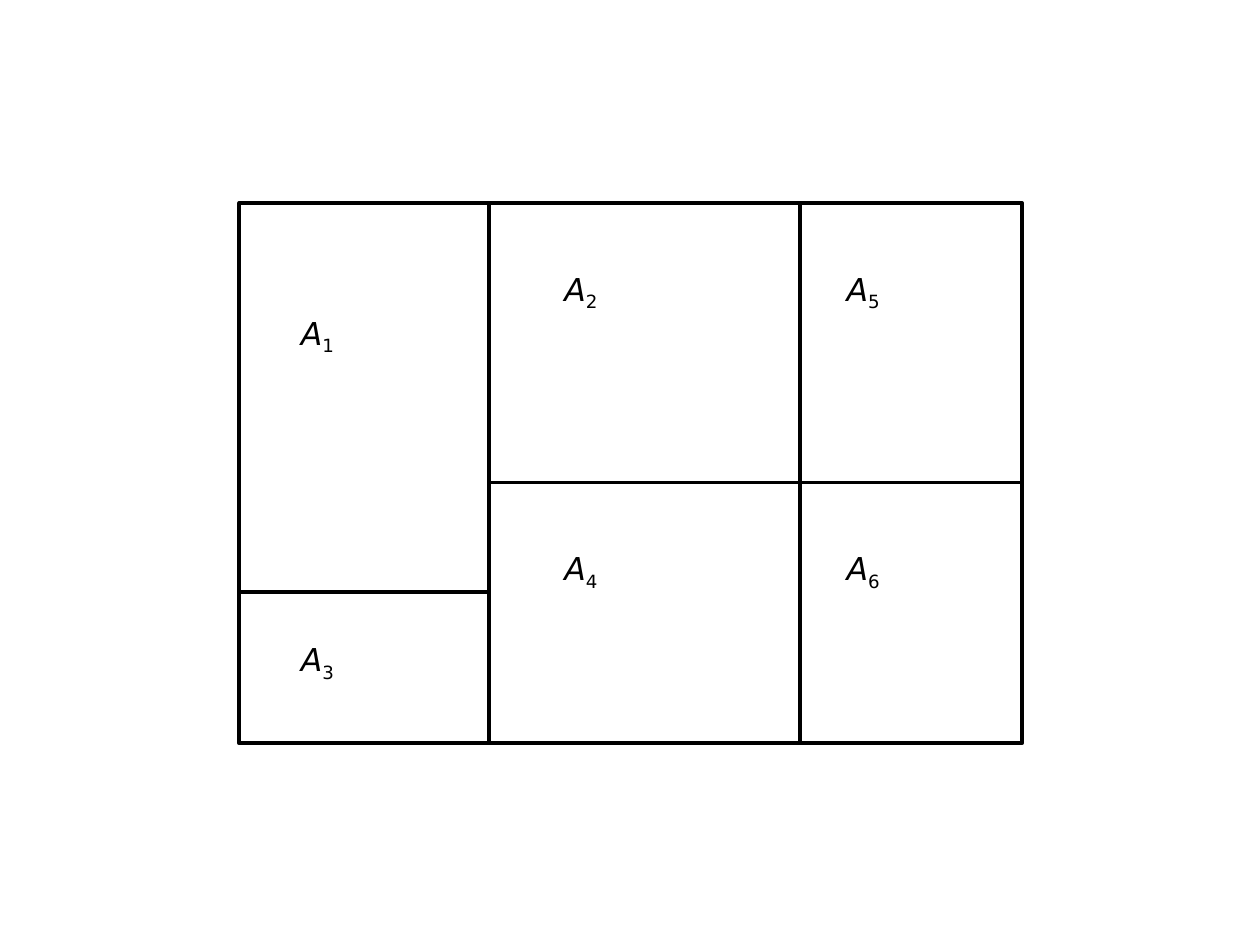
import dataclasses

import pptx
import pptx.dml.color
import pptx.enum.shapes
import pptx.enum.text
import pptx.util

BLACK = pptx.dml.color.RGBColor(0x00, 0x00, 0x00)
Inches = pptx.util.Inches

# Grid lines of the partition, in inches
COLS = (1.9, 3.88, 6.35, 8.11)
ROWS = (1.61, 3.83, 4.7, 5.9)
LABEL_INDENTS = (0.39, 0.5, 0.27)  # one per column
LABEL_SIZE = (0.48, 0.4)
LABEL_FONT = {"name": "DejaVu Sans", "size": pptx.util.Pt(18)}


@dataclasses.dataclass(frozen=True)
class Region:
    index: int
    col: int
    top_row: int
    bottom_row: int
    label_drop: float = 0.48


REGIONS = (
    Region(1, 0, 0, 2, label_drop=0.83),
    Region(2, 1, 0, 1),
    Region(3, 0, 2, 3, label_drop=0.33),
    Region(4, 1, 1, 3),
    Region(5, 2, 0, 1),
    Region(6, 2, 1, 3),
)


def draw_outline(s: pptx.slide.Slide, region: Region) -> None:
    left, right = COLS[region.col:region.col + 2]
    top, bottom = ROWS[region.top_row], ROWS[region.bottom_row]
    sp = s.shapes.add_shape(
        pptx.enum.shapes.MSO_SHAPE.RECTANGLE,
        Inches(left), Inches(top), Inches(right - left), Inches(bottom - top))
    sp.shadow.inherit = False
    sp.fill.background()
    sp.line.color.rgb = BLACK
    sp.line.width = pptx.util.Pt(2.25)


def draw_label(s: pptx.slide.Slide, region: Region) -> None:
    """Write an italic A with the region's index as an upright subscript."""
    left = COLS[region.col] + LABEL_INDENTS[region.col]
    top = ROWS[region.top_row] + region.label_drop
    sp = s.shapes.add_textbox(
        Inches(left), Inches(top), *map(Inches, LABEL_SIZE))
    tf = sp.text_frame
    tf.word_wrap = False
    tf.auto_size = pptx.enum.text.MSO_AUTO_SIZE.SHAPE_TO_FIT_TEXT
    p = tf.paragraphs[0]
    for text, italic in (("A", True), (str(region.index), False)):
        r = p.add_run()
        r.text = text
        for name, value in {**LABEL_FONT, "italic": italic}.items():
            setattr(r.font, name, value)
        r.font.color.rgb = BLACK
    r._r.get_or_add_rPr().set("baseline", "-25000")


def main() -> None:
    prs = pptx.Presentation()
    prs.slide_width, prs.slide_height = Inches(10), Inches(7.5)
    s = prs.slides.add_slide(prs.slide_layouts[6])
    for region in REGIONS:
        draw_outline(s, region)
        draw_label(s, region)
    prs.save("out.pptx")


if __name__ == "__main__":
    main()
